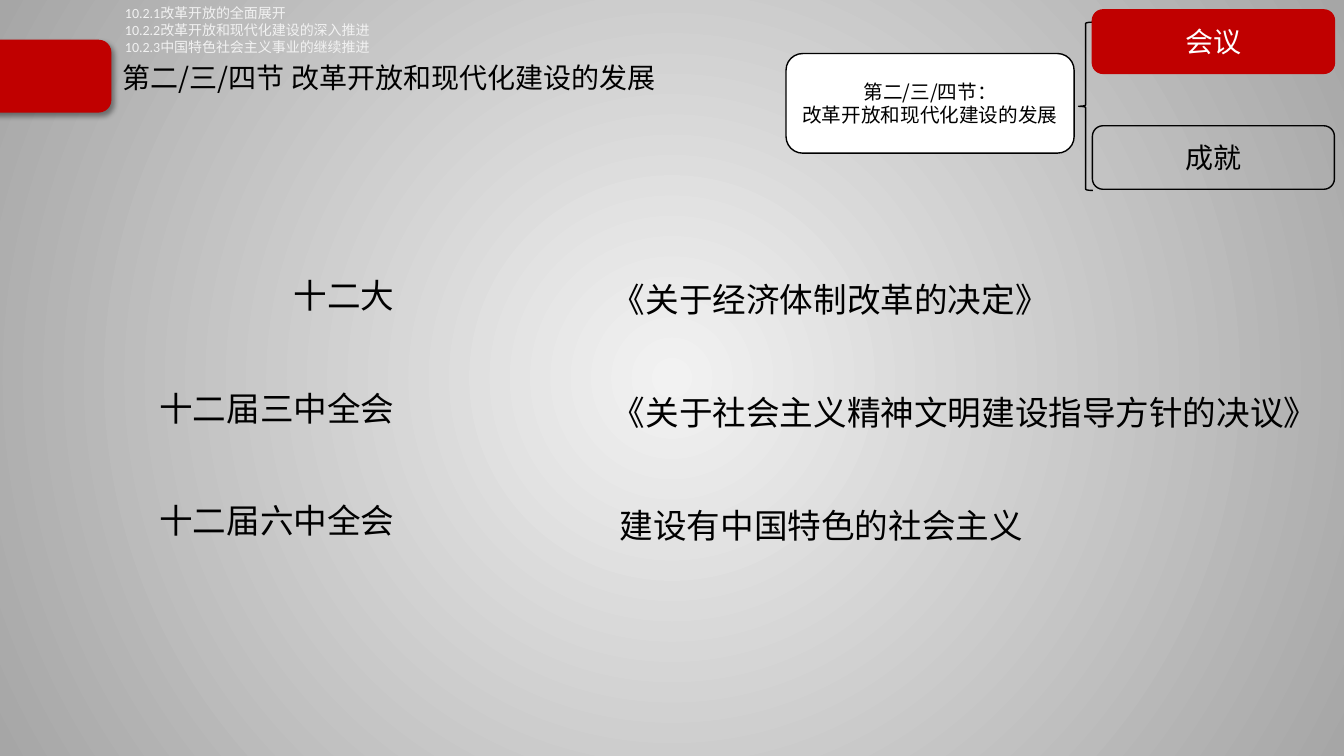
from dataclasses import dataclass

from lxml import etree
from pptx import Presentation
from pptx import util as u
from pptx.dml.color import RGBColor
from pptx.enum import shapes, text
from pptx.oxml import ns, parse_xml


@dataclass(frozen=True)
class Theme:
    red: str = "C00000"
    black: str = "000000"
    white: str = "FFFFFF"
    pale: str = "F2F2F2"
    gray: str = "A6A6A6"
    sans: str = "Noto Sans CJK SC"
    head: str = "Noto Sans CJK JP"
    latin: str = "Calibri"
    tiny: int = 10
    small: int = 14
    mid: int = 20
    big: int = 24


T = Theme()
RIGHT = text.PP_ALIGN.RIGHT
CENTER = text.PP_ALIGN.CENTER
MIDDLE = text.MSO_ANCHOR.MIDDLE
ROUND = shapes.MSO_SHAPE.ROUNDED_RECTANGLE
BRACE = shapes.MSO_SHAPE.LEFT_BRACE


def rgb(code):
    return RGBColor.from_string(code)


def write(shape, lines, size=T.big, color=T.black, font=T.sans, align=None,
          anchor=None, gap=None, lead=None, top=None, left=None):
    """Fill a shape with one paragraph per line."""
    frame = shape.text_frame
    frame.word_wrap = True
    if anchor is not None:
        frame.vertical_anchor = anchor
    if top is not None:
        frame.margin_top = u.Cm(top)
    if left is not None:
        frame.margin_left = u.Cm(left)
    for i, line in enumerate(lines):
        para = frame.paragraphs[0] if i == 0 else frame.add_paragraph()
        para.alignment = align
        if gap is not None and i < len(lines) - 1:
            para.space_after = u.Pt(gap)
        if lead is not None:
            para.line_spacing = lead
        run = para.add_run()
        run.text = line
        run.font.size = u.Pt(size)
        run.font.name = font
        run.font.color.rgb = rgb(color)
        east = etree.SubElement(run.font._element, ns.qn("a:ea"))
        east.set("typeface", font)
    return frame


def label(parent, box, lines, **form):
    shape = parent.shapes.add_textbox(*map(u.Cm, box))
    return write(shape, lines, **form)


def block(parent, kind, box, fill=None, line=T.black, lines=(), **form):
    shape = parent.shapes.add_shape(kind, *map(u.Cm, box))
    shape.shadow.inherit = False
    if fill:
        shape.fill.solid()
        shape.fill.fore_color.rgb = rgb(fill)
    else:
        shape.fill.background()
    shape.line.color.rgb = rgb(line)
    shape.line.width = u.Pt(1)
    if lines:
        write(shape, lines, align=CENTER, anchor=MIDDLE, **form)
    return shape


def shade(shape):
    """Give a soft shadow to the lower right."""
    props = shape._element.spPr
    props.find(ns.qn("a:effectLst")).append(parse_xml(
        f'<a:outerShdw {ns.nsdecls("a")} blurRad="50800" dist="38100" '
        f'dir="2700000" algn="tl" rotWithShape="0"><a:srgbClr val="{T.black}">'
        '<a:alpha val="40000"/></a:srgbClr></a:outerShdw>'))


def backdrop(slide):
    """Paint a round gradient, light in the centre."""
    fill = slide.background.fill
    fill.gradient()
    for stop, code, pos in zip(fill.gradient_stops, (T.pale, T.gray), (0, 1)):
        stop.color.rgb = rgb(code)
        stop.position = pos
    grad = slide._element.find(".//" + ns.qn("a:gradFill"))
    grad.replace(grad.find(ns.qn("a:lin")), parse_xml(
        f'<a:path {ns.nsdecls("a")} path="circle">'
        '<a:fillToRect l="50000" t="50000" r="50000" b="50000"/></a:path>'))


def outline(slide):
    """Draw the section box, its brace and the two topics."""
    group = slide.shapes.add_group_shape()
    block(group, ROUND, (19.81, 1.35, 7.26, 2.51), fill=T.white, size=T.small,
          lines=["第二/三/四节：", "改革开放和现代化建设的发展"])
    block(group, BRACE, (27.18, 0.56, 0.36, 4.24))
    topics = (("会议", T.red, T.red, T.white),
              ("成就", None, T.black, T.black))
    for i, (name, fill, line, ink) in enumerate(topics):
        block(group, ROUND, (27.53, 0.25 + 2.92 * i, 6.1, 1.6), fill=fill,
              line=line, lines=[name], size=T.mid, color=ink)


def main():
    deck = Presentation()
    deck.slide_width, deck.slide_height = u.Cm(33.87), u.Cm(19.05)
    slide = deck.slides.add_slide(deck.slide_layouts[6])
    backdrop(slide)

    # Heading
    label(slide, (2.84, 1.24, 15.39, 1.5), ["第二/三/四节 改革开放和现代化建设的发展"],
          size=T.mid, font=T.head, anchor=MIDDLE, lead=0.9)

    # Meetings and what each one brought
    label(slide, (-1.37, 4.85, 11.56, 9.47),
          ["十二大", "十二届三中全会", "十二届六中全会"],
          align=RIGHT, gap=51.6, top=2.08)
    frame = label(slide, (14.96, 4.45, 19.13, 13.41),
                  ["《关于经济体制改革的决定》",
                   "《关于社会主义精神文明建设指导方针的决议》",
                   "建设有中国特色的社会主义"],
                  gap=51.6, top=2.59, left=0.46)
    last = frame.paragraphs[-1]._p.get_or_add_pPr()
    last.set("marL", str(u.Cm(0.2)))
    last.set("indent", "0")

    # Red tab and section outline
    shade(block(slide, ROUND, (-0.46, 1.02, 3.25, 1.8), fill=T.red, line=T.red))
    outline(slide)

    # Contents list
    label(slide, (2.9, 0, 19.86, 1.55),
          ["10.2.1改革开放的全面展开", "10.2.2改革开放和现代化建设的深入推进",
           "10.2.3中国特色社会主义事业的继续推进"],
          size=T.tiny, color=T.pale, font=T.latin)

    deck.save("out.pptx")


if __name__ == "__main__":
    main()
